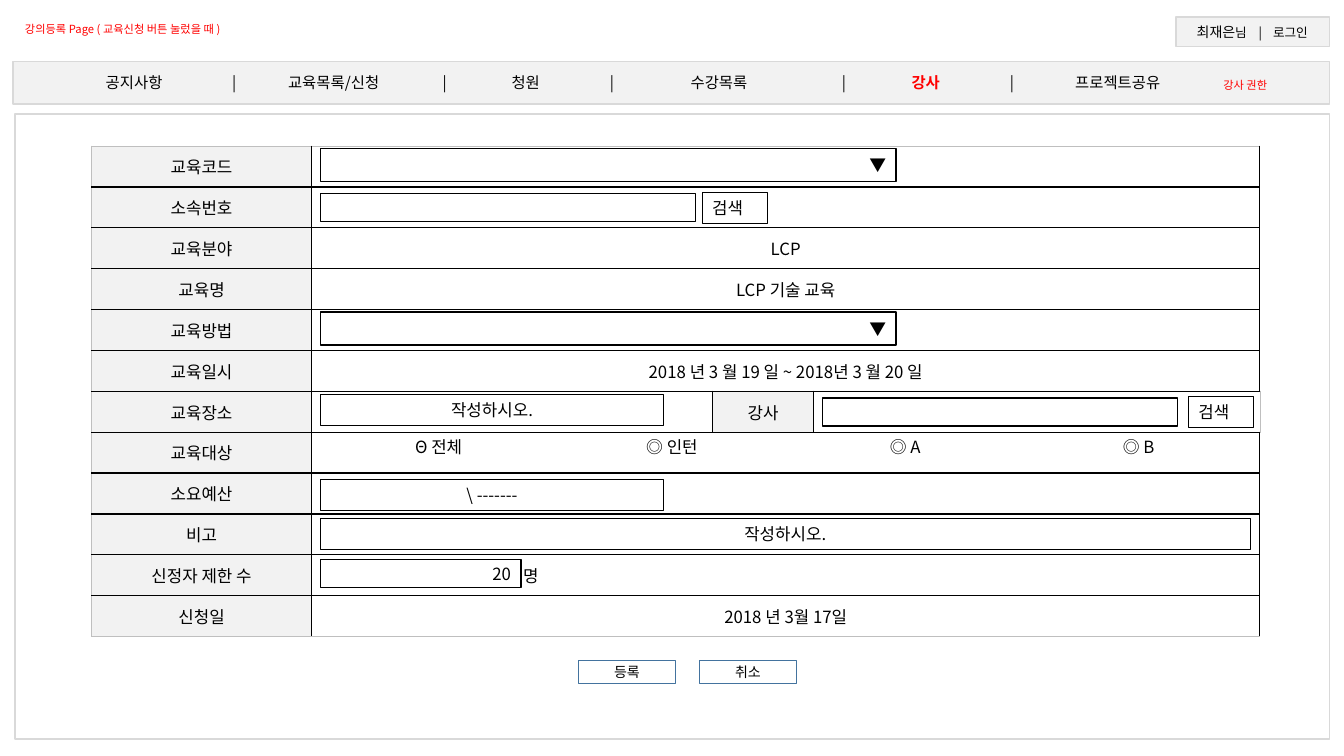
from collections import namedtuple

from lxml.etree import SubElement
from pptx import Presentation
from pptx.dml.color import RGBColor
from pptx.enum.shapes import MSO_SHAPE
from pptx.enum.text import MSO_ANCHOR, PP_ALIGN
from pptx.oxml.ns import qn
from pptx.util import Cm, Pt

FONT = "Noto Sans CJK KR"
BLACK, RED, WHITE = "000000", "FF0000", "FFFFFF"
PANEL, EDGE, OUTER, BUTTON = "F2F2F2", "D9D9D9", "BFBFBF", "43739E"
ALIGN = {"l": PP_ALIGN.LEFT, "c": PP_ALIGN.CENTER, "r": PP_ALIGN.RIGHT}
Box = namedtuple("Box", "left top width height")  # centimetres

ROW_HEIGHT = 1.03
COLUMN_WIDTHS = [5.54, 10.11, 2.54, 11.25]
ENTRIES = [
    ("교육코드", ""),
    ("소속번호", ""),
    ("교육분야", "LCP"),
    ("교육명", "LCP 기술 교육"),
    ("교육방법", ""),
    ("교육일시", "2018 년 3 월 19 일 ~ 2018년 3 월 20 일"),
    ("교육장소", ""),
    ("교육대상", ""),
    ("소요예산", ""),
    ("비고", ""),
    ("신정자 제한 수", "명"),
    ("신청일", "2018 년 3월 17일"),
]
PLACE_ROW, LIMIT_ROW = 6, 10


def color(hex_text):
    return RGBColor.from_string(hex_text)


def write(frame, text, size=12, ink=BLACK, bold=False, align="c", indent=0, tabs=()):
    """Fill the first paragraph; text is a string or (string, overrides) pairs."""
    paragraph = frame.paragraphs[0]
    paragraph.alignment = ALIGN[align]
    properties = paragraph._p.get_or_add_pPr()
    if indent:
        properties.set("marL", str(Cm(indent)))
    if tabs:
        stops = SubElement(properties, qn("a:tabLst"))
        for stop in tabs:
            SubElement(stops, qn("a:tab"), pos=str(Cm(stop)), algn="ctr")
    if not text:
        SubElement(paragraph._p, qn("a:endParaRPr"), sz=str(size * 100))
        return
    for words, changes in [(text, {})] if isinstance(text, str) else text:
        run = paragraph.add_run()
        run.text = words
        run.font.name = FONT
        run.font.size = Pt(changes.get("size", size))
        run.font.bold = changes.get("bold", bold)
        run.font.color.rgb = color(changes.get("ink", ink))
        SubElement(run._r.get_or_add_rPr(), qn("a:ea"), typeface=FONT)


def add_box(slide, box, text="", fill=None, line=None, weight=1, inset=0.25, **style):
    shape = slide.shapes.add_shape(MSO_SHAPE.RECTANGLE, *map(Cm, box))
    shape.shadow.inherit = False
    if fill:
        shape.fill.solid()
        shape.fill.fore_color.rgb = color(fill)
    else:
        shape.fill.background()
    shape.line.color.rgb = color(line)
    shape.line.width = Pt(weight)
    set_frame(shape.text_frame, inset)
    write(shape.text_frame, text, **style)


def add_label(slide, box, text, **style):
    label = slide.shapes.add_textbox(*map(Cm, box))
    set_frame(label.text_frame, 0.25)
    write(label.text_frame, text, **style)


def set_frame(frame, inset):
    frame.word_wrap = True
    frame.vertical_anchor = MSO_ANCHOR.MIDDLE
    frame.margin_left = frame.margin_right = Cm(inset)
    frame.margin_top = frame.margin_bottom = 0


def add_header(slide, box):
    add_label(slide, Box(box.left, box.top, 7.37, 0.61),
              "강의등록 Page ( 교육신청 버튼 눌렀을 때 )", size=8, ink=RED, align="l")
    user_width = 3.86
    add_box(slide, Box(box.left + box.width - user_width, box.top, user_width, box.height),
            [("\t최재은", {"size": 10}), ("님\t|\t로그인", {})],
            fill=PANEL, line=EDGE, inset=0, size=9, align="l", tabs=(1.15, 2.12, 2.88))


def add_navigation(slide, box):
    menu = [("\t공지사항\t|\t교육목록/신청\t|\t청원\t|\t수강목록\t|\t", {}),
            ("강사", {"ink": RED, "bold": True}),
            ("\t|\t프로젝트공유", {})]
    add_box(slide, box, menu, fill=PANEL, line=EDGE, inset=0, size=11, align="l",
            tabs=(3.05, 5.57, 8.08, 10.88, 12.92, 15.09, 17.79, 20.94, 23.0, 25.17, 27.84))
    add_label(slide, Box(box.left + 30.25, box.top + 0.3, 1.8, 0.61),
              "강사 권한", size=8, ink=RED, align="l")


def set_borders(cell, row, column):
    """Black inside the table, thin grey around it."""
    last_row, last_column = len(ENTRIES) - 1, len(COLUMN_WIDTHS) - 1
    sides = {"a:lnL": column == 0, "a:lnR": column == last_column,
             "a:lnT": row == 0, "a:lnB": row == last_row}
    properties = cell._tc.get_or_add_tcPr()
    for position, (side, outer) in enumerate(sides.items()):
        border = properties.makeelement(qn(side), {"w": str(Pt(0.5 if outer else 1))})
        properties.insert(position, border)
        paint = SubElement(border, qn("a:solidFill"))
        SubElement(paint, qn("a:srgbClr"), val=OUTER if outer else BLACK)


def add_form_table(slide, box):
    table = slide.shapes.add_table(len(ENTRIES), len(COLUMN_WIDTHS), *map(Cm, box)).table
    table.first_row = table.horz_banding = False
    for column, width in zip(table.columns, COLUMN_WIDTHS):
        column.width = Cm(width)
    for r, (heading, value) in enumerate(ENTRIES):
        table.rows[r].height = Cm(ROW_HEIGHT)
        texts = [heading, value, "강사" if r == PLACE_ROW else "", ""]
        for c, text in enumerate(texts):
            cell = table.cell(r, c)
            cell.vertical_anchor = MSO_ANCHOR.MIDDLE
            cell.fill.solid()
            shaded = c == 0 or (r == PLACE_ROW and c == 2)
            cell.fill.fore_color.rgb = color(PANEL if shaded else WHITE)
            set_borders(cell, r, c)
            limit = r == LIMIT_ROW and c == 1
            write(cell.text_frame, text, align="l" if limit else "c",
                  indent=5.08 if limit else 0)
        if r != PLACE_ROW:
            table.cell(r, 1).merge(table.cell(r, 3))


def add_form_fields(slide, box):
    field_left = 5.77

    def place(row, left, dy, width, height):
        return Box(box.left + left, box.top + row * ROW_HEIGHT + dy, width, height)

    # Drop-down lists
    for row in (0, 4):
        add_box(slide, place(row, field_left, 0.06, 14.5, 0.84), "▼", line=BLACK, align="r")
    # Entry fields
    for row, left, dy, width, text in [(1, field_left, 0.17, 9.45, ""),
                                       (PLACE_ROW, 18.42, 0.17, 8.94, ""),
                                       (LIMIT_ROW, field_left, 0.12, 5.05, "20")]:
        add_box(slide, place(row, left, dy, width, 0.71), text, line=BLACK, align="r")
    # Search buttons
    for row, left in [(1, 15.39), (PLACE_ROW, 27.64)]:
        add_box(slide, place(row, left, 0.13, 1.63, 0.78), "검색",
                line=BLACK, weight=0.5, align="l")
    # Fields with a prompt
    for row, dy, width, text in [(PLACE_ROW, 0.07, 8.64, "작성하시오."),
                                 (8, 0.15, 8.64, "\\ -------"),
                                 (9, 0.11, 23.42, "작성하시오.")]:
        add_box(slide, place(row, field_left, dy, width, 0.78), text, line=BLACK, weight=0.5)
    # Audience options
    for i, option in enumerate(["Θ 전체", "◎ 인턴", "◎ A", "◎ B"]):
        add_label(slide, place(7, 7.27 + 5.88 * i, -0.02, 2.95, 0.76), option)


def add_actions(slide, box):
    button_width = 2.44
    for left, action in [(box.left, "등록"), (box.left + box.width - button_width, "취소")]:
        add_box(slide, Box(left, box.top, button_width, box.height), action,
                line=BUTTON, size=10)


def add_content(slide, box):
    add_box(slide, box, line=EDGE)
    form = Box(box.left + 1.93, box.top + 0.81, sum(COLUMN_WIDTHS), ROW_HEIGHT * len(ENTRIES))
    add_form_table(slide, form)
    add_form_fields(slide, form)
    add_actions(slide, Box(box.left + 14.2, box.top + 13.77, 5.49, 0.58))


def main():
    presentation = Presentation()
    presentation.slide_width, presentation.slide_height = Cm(33.87), Cm(19.05)
    slide = presentation.slides.add_slide(presentation.slide_layouts[6])
    add_header(slide, Box(0.38, 0.43, 33.12, 0.74))
    add_navigation(slide, Box(0.33, 1.55, 33.17, 1.07))
    add_content(slide, Box(0.38, 2.87, 33.12, 15.75))
    presentation.save("out.pptx")


if __name__ == "__main__":
    main()
